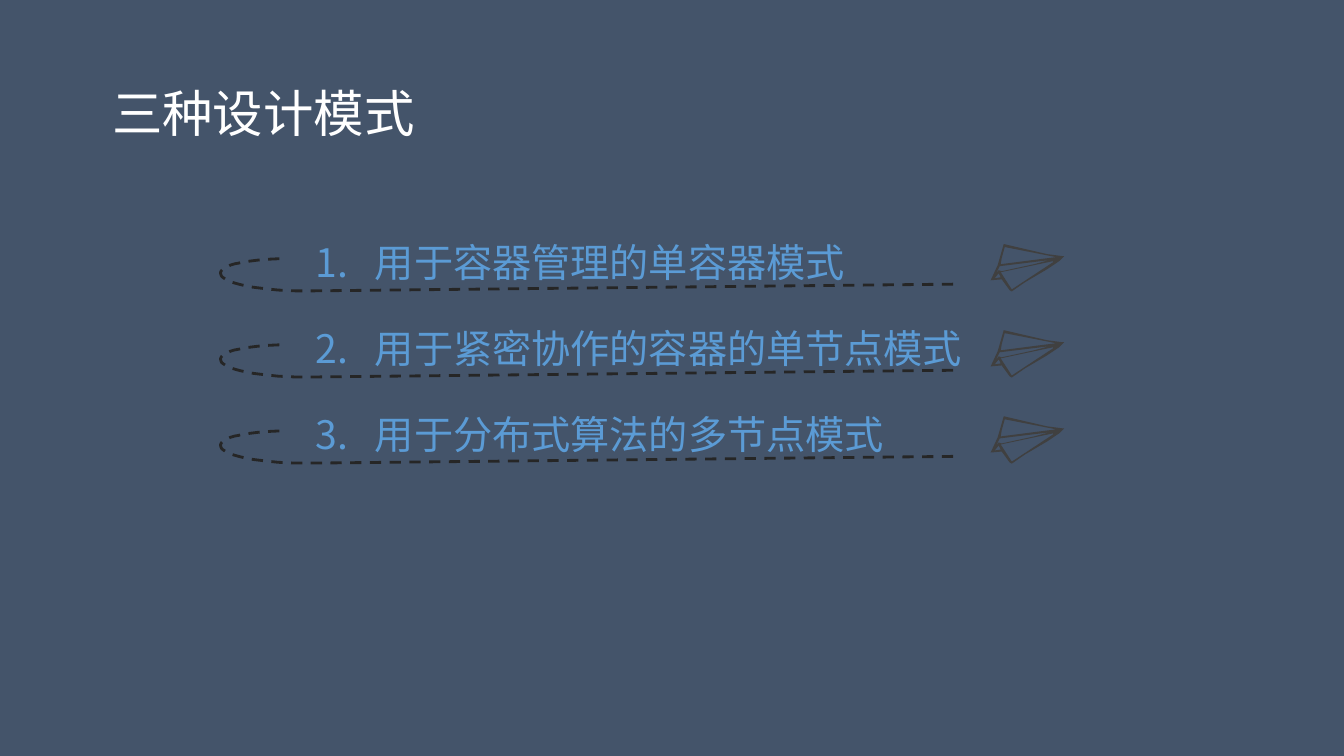
from lxml.etree import SubElement
from pptx import Presentation
from pptx.dml.color import RGBColor
from pptx.enum.dml import MSO_LINE
from pptx.enum.text import MSO_ANCHOR, MSO_AUTO_SIZE, PP_ALIGN
from pptx.oxml.ns import qn
from pptx.util import Cm, Pt

SLATE = RGBColor(0x44, 0x54, 0x6A)
WHITE = RGBColor(0xFF, 0xFF, 0xFF)
BLUE = RGBColor(0x5B, 0x9B, 0xD5)
GREY = RGBColor(0x40, 0x40, 0x40)
INK = RGBColor(0x26, 0x26, 0x26)

CJK_FONT = "Noto Sans CJK JP"
LATIN_FONT = "Calibri"

# Paper plane: the outline, then the openings between its folds
PLANE_WIDTH = 74
PLANE = [
    [(74, 12), (69, 17), (57, 25), (35, 38), (22, 47), (20, 46), (12, 35),
     (1, 36), (8, 21), (14, 0), (31, 4), (57, 10), (72, 12)],
    [(15, 3), (12, 14), (11, 20), (50, 15), (66, 13)],
    [(11, 28), (22, 45), (63, 18), (63, 17)],
    [(10, 22), (6, 30), (9, 26), (12, 27), (44, 20), (59, 16)],
    [(5, 34), (11, 33), (9, 29)],
]

# Flight trail in hundredths of a centimetre: a bend, then a straight run
BEND = [(704, 0), (470, 8), (523, 84), (792, 81)]
TRAIL_END = (2413, 64)


def bezier(points, steps=32):
    """Return points along a cubic curve."""
    curve = []
    for step in range(steps + 1):
        t = step / steps
        weights = ((1 - t) ** 3, 3 * t * (1 - t) ** 2,
                   3 * t ** 2 * (1 - t), t ** 3)
        curve.append(tuple(sum(weight * point[axis]
                               for weight, point in zip(weights, points))
                           for axis in (0, 1)))
    return curve


class SlideWriter:
    def __init__(self, page):
        self.page = page
        page.background.fill.solid()
        page.background.fill.fore_color.rgb = SLATE

    def place(self, box, left, top, width, height):
        box.left, box.top = Cm(left), Cm(top)
        box.width, box.height = Cm(width), Cm(height)

    def format_span(self, span, size, color, font):
        span.font.size = Pt(size)
        span.font.color.rgb = color
        span.font.name = font
        SubElement(span.font._element, qn("a:ea"), typeface=CJK_FONT)

    def format_frame(self, frame):
        frame.word_wrap = True
        frame.auto_size = MSO_AUTO_SIZE.SHAPE_TO_FIT_TEXT
        frame.vertical_anchor = MSO_ANCHOR.TOP
        para = frame.paragraphs[0]
        para.alignment = PP_ALIGN.JUSTIFY
        return para

    def title(self, text, *bounds):
        box = self.page.shapes.title
        self.place(box, *bounds)
        box.text_frame.text = text
        para = self.format_frame(box.text_frame)
        para.line_spacing = 1.0
        para.space_before = Pt(0)
        self.format_span(para.runs[0], 36, WHITE, CJK_FONT)

    def item(self, number, text, left, top, width, height, indent=1.5):
        box = self.page.shapes.add_textbox(
            Cm(left), Cm(top), Cm(width), Cm(height))
        para = self.format_frame(box.text_frame)
        for words, font in ((f"{number}.\t", CJK_FONT), (text, LATIN_FONT)):
            span = para.add_run()
            span.text = words
            self.format_span(span, 28, BLUE, font)
        # Hanging indent sets the gap after the number
        properties = para._p.get_or_add_pPr()
        properties.set("marL", str(Cm(indent)))
        properties.set("indent", str(-Cm(indent)))

    def outline(self, contours, scale, left, top, closed):
        builder = self.page.shapes.build_freeform(*contours[0][0], scale=scale)
        for index, contour in enumerate(contours):
            if index:
                builder.move_to(*contour[0])
            builder.add_line_segments(contour[1:], close=closed)
        shape = builder.convert_to_shape(Cm(left), Cm(top))
        shape.shadow.inherit = False
        return shape

    def plane(self, left, top, width):
        shape = self.outline(PLANE, Cm(width) / PLANE_WIDTH, left, top, True)
        shape.fill.solid()
        shape.fill.fore_color.rgb = GREY
        shape.line.fill.background()

    def trail(self, top):
        shape = self.outline([bezier(BEND) + [TRAIL_END]], Cm(0.01),
                             0, top, False)
        shape.fill.background()
        shape.line.color.rgb = INK
        shape.line.width = Pt(2)
        shape.line.dash_style = MSO_LINE.DASH


deck = Presentation()
deck.slide_width, deck.slide_height = Cm(33.87), Cm(19.05)
writer = SlideWriter(deck.slides.add_slide(deck.slide_layouts[5]))

# Heading
writer.title("三种设计模式", 2.57, 1.93, 15.95, 1.8)

# Numbered patterns, each with a plane and its trail
PATTERNS = [
    ("用于容器管理的单容器模式", 15.95),
    ("用于紧密协作的容器的单节点模式", 17.91),
    ("用于分布式算法的多节点模式", 15.95),
]
FIRST_TOP, ROW_STEP = 6.15, 2.17
for row, (pattern, width) in enumerate(PATTERNS):
    top = FIRST_TOP + row * ROW_STEP
    writer.plane(24.94, top, 1.88)
    writer.trail(top + 0.37)
    writer.item(row + 1, pattern, 7.7, top - 0.27, width, 1.45)

deck.save("out.pptx")
